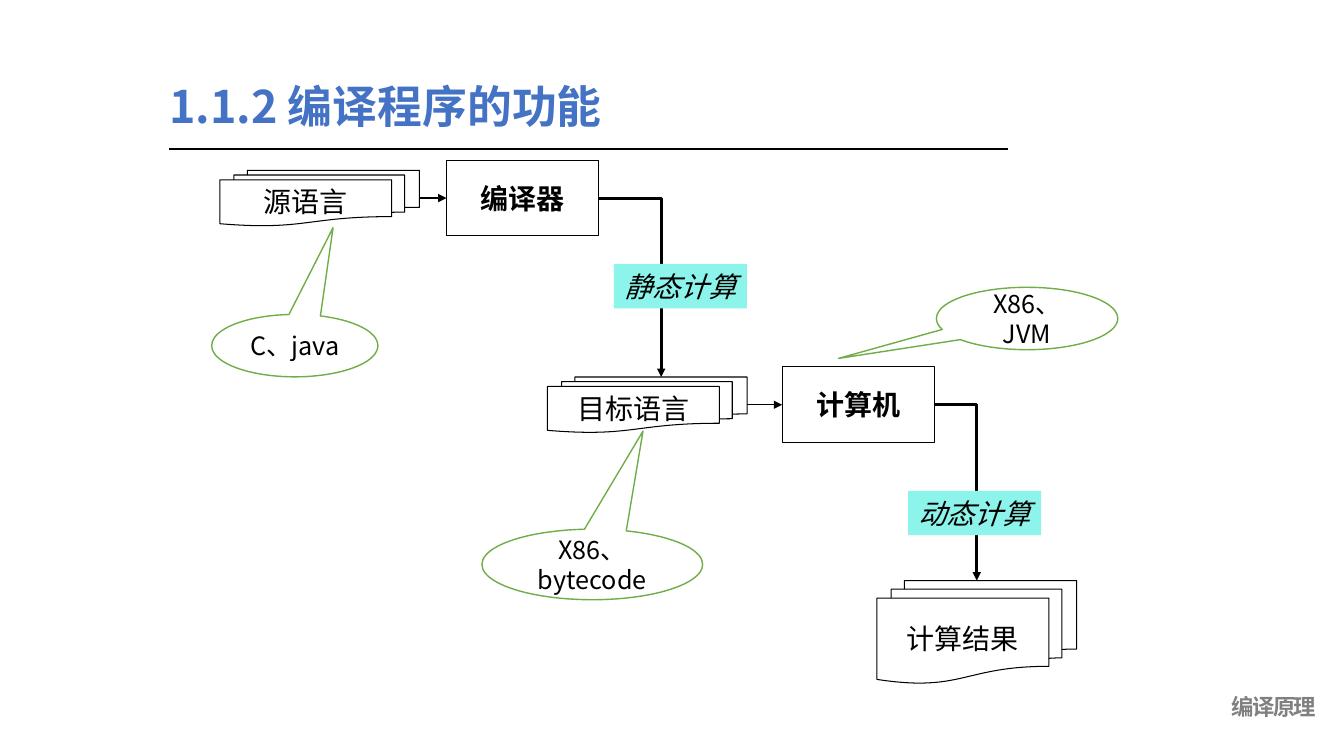
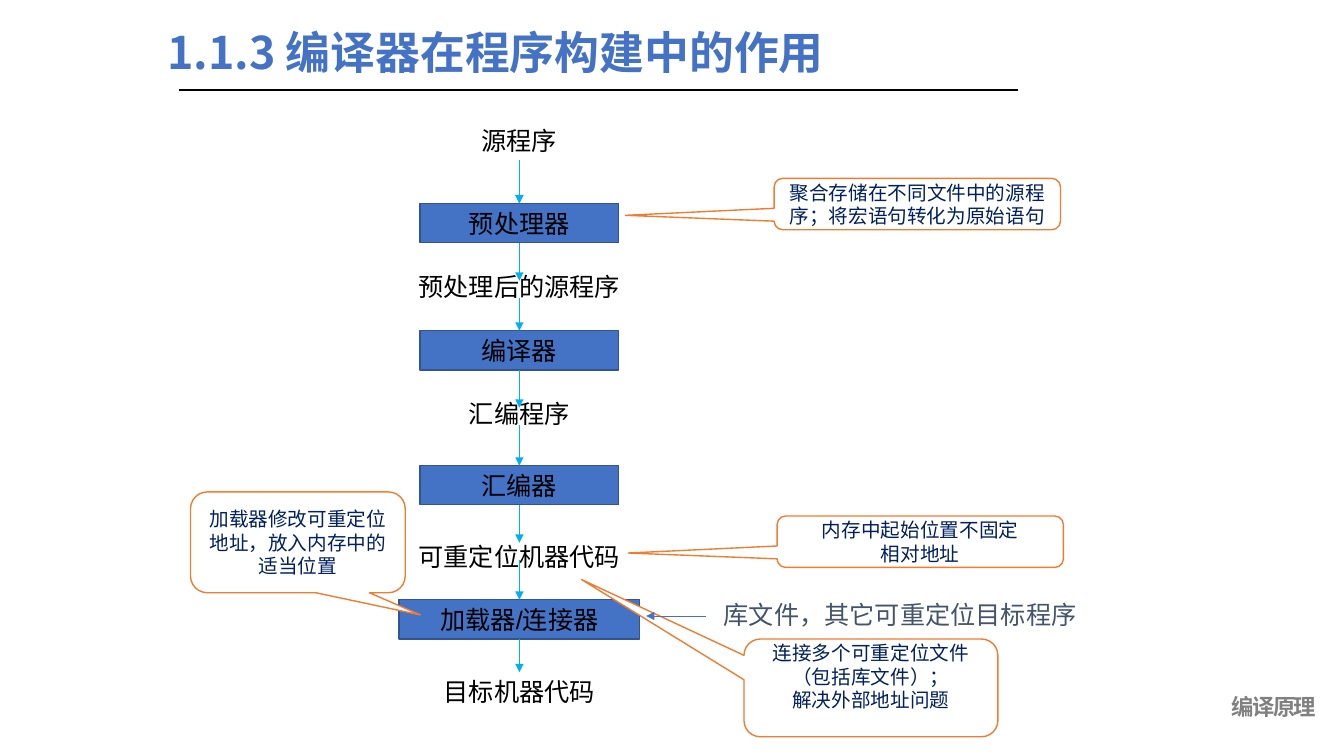
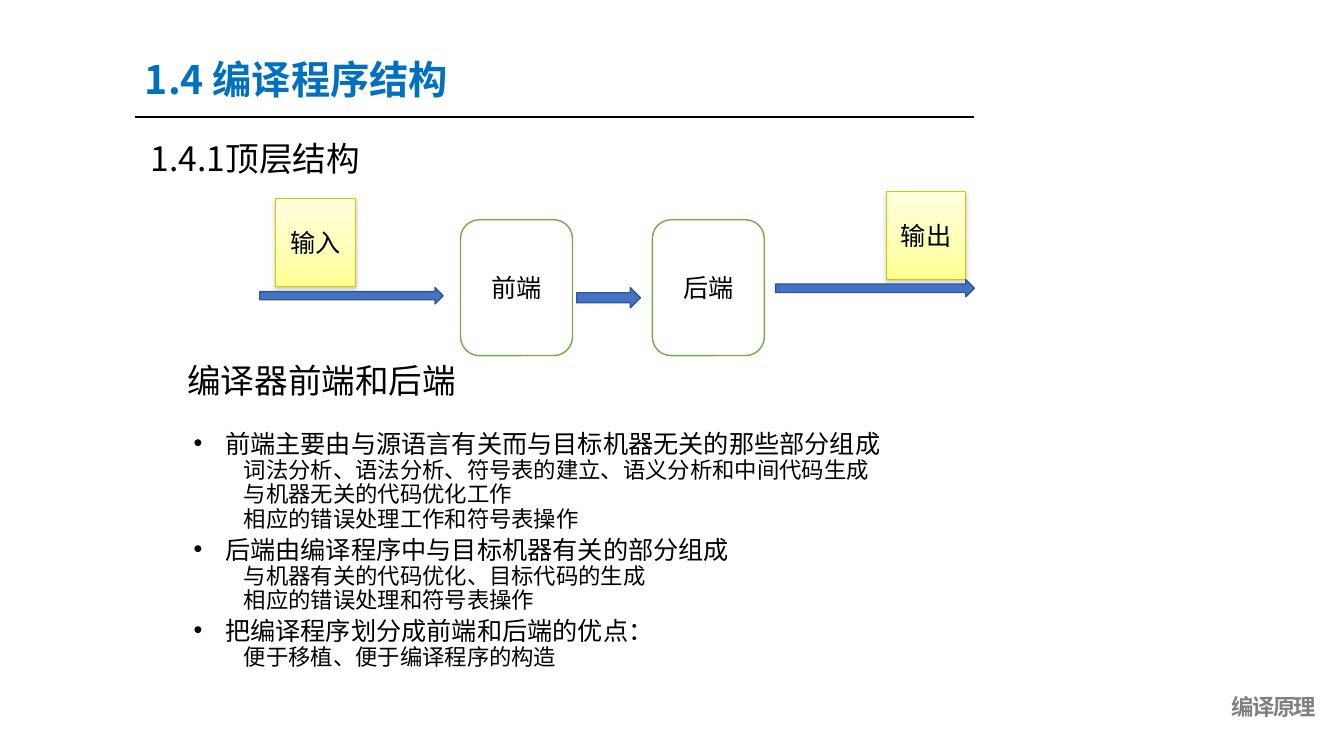
from typing import NamedTuple

from lxml import etree
from pptx import Presentation
from pptx import util as u
from pptx.dml import color
from pptx.enum import shapes, text
from pptx.oxml import ns

Pt = u.Pt
RGB = color.RGBColor
KIND = shapes.MSO_SHAPE
ALIGN = text.PP_ALIGN
ANCHOR = text.MSO_ANCHOR

BLACK = RGB(0x00, 0x00, 0x00)
WHITE = RGB(0xFF, 0xFF, 0xFF)
GREY = RGB(0x80, 0x80, 0x80)
SLATE = RGB(0x44, 0x54, 0x6A)
NAVY = RGB(0x00, 0x20, 0x60)
BLUE = RGB(0x44, 0x72, 0xC4)
BLUE_EDGE = RGB(0x32, 0x54, 0x91)
TITLE_BLUE = RGB(0x00, 0x70, 0xC0)
SKY = RGB(0x00, 0xB0, 0xF0)
AQUA = RGB(0x8C, 0xF4, 0xEA)
GREEN = RGB(0x70, 0xAD, 0x47)
ORANGE = RGB(0xED, 0x7D, 0x31)
OLIVE = RGB(0xCC, 0xCC, 0x00)
NOTE_STOPS = ((0, "FFFFE0"), (65, "FFFFB2"), (100, "FFFF90"))

SANS = "Noto Sans CJK SC"
INSETS = (7.2, 3.6, 7.2, 3.6)
RULE_LENGTH = 599
AXIS = 371
STAGE_HEIGHT = 28
ARROW_LENGTH = 27


class Font(NamedTuple):
    size: float
    face: str = SANS
    ink: RGB = BLACK
    bold: bool = False
    italic: bool = False
    spacing: int = 0


TITLE = Font(32, ink=BLUE, bold=True)
SECTION_TITLE = Font(28, ink=TITLE_BLUE, bold=True)
FOOTER = Font(16, ink=GREY, bold=True, spacing=-100)
HEADING = Font(24)
PLAIN = Font(18)
DETAIL = Font(16)
ARIAL = Font(18, "Arial")
DOCUMENT = Font(20, "DejaVu Sans")
MACHINE = Font(20, "Comic Neue", bold=True)
PHASE = Font(20, "DejaVu Sans", italic=True)
REMARK = Font(14, "Arial", NAVY)


def child(parent, tag, **attributes):
    return etree.SubElement(parent, ns.qn(tag), **attributes)


def add_span(para, words, font):
    span = para.add_run()
    span.text = words
    style = span.font
    style.size = Pt(font.size)
    style.name = font.face
    style.bold = font.bold
    style.italic = font.italic
    style.color.rgb = font.ink
    properties = span._r.get_or_add_rPr()
    child(properties, "a:ea", typeface=SANS)
    if font.spacing:
        properties.set("spc", str(font.spacing))


def prepare_frame(frame, anchor, insets=INSETS, wrap=True):
    frame.word_wrap = wrap
    frame.vertical_anchor = anchor
    frame.margin_left, frame.margin_top, frame.margin_right, frame.margin_bottom = map(Pt, insets)


def write_lines(frame, lines, font, align):
    for index, words in enumerate(lines):
        para = frame.add_paragraph() if index else frame.paragraphs[0]
        para.alignment = align
        add_span(para, words, font)


def add_label(page, bounds, words, font, align=ALIGN.LEFT, insets=INSETS):
    box = page.shapes.add_textbox(*map(Pt, bounds))
    prepare_frame(box.text_frame, ANCHOR.TOP, insets)
    write_lines(box.text_frame, [words], font, align)


def add_box(page, kind, bounds, lines=(), font=PLAIN, fill=WHITE, edge=None,
            weight=1, adjust=(), insets=INSETS, wrap=True):
    box = page.shapes.add_shape(kind, *map(Pt, bounds))
    box.shadow.inherit = False
    box.fill.solid()
    box.fill.fore_color.rgb = fill
    if edge is None:
        box.line.fill.background()
    else:
        box.line.color.rgb = edge
        box.line.width = Pt(weight)
    for index, value in enumerate(adjust):
        box.adjustments[index] = value
    prepare_frame(box.text_frame, ANCHOR.MIDDLE, insets, wrap)
    write_lines(box.text_frame, lines, font, ALIGN.CENTER)
    return box


def add_line(page, start, end, ink=BLACK, weight=1.5, arrow=False, elbow=False,
             leaves=None, enters=None):
    kind = shapes.MSO_CONNECTOR.ELBOW if elbow else shapes.MSO_CONNECTOR.STRAIGHT
    line = page.shapes.add_connector(kind, *map(Pt, start + end))
    line.line.color.rgb = ink
    line.line.width = Pt(weight)
    properties = line._element.spPr
    if elbow:
        properties.find(ns.qn("a:prstGeom")).set("prst", "bentConnector2")
    if arrow:
        child(properties.find(ns.qn("a:ln")), "a:tailEnd", type="triangle")
    child(properties, "a:effectLst")
    if leaves:
        line.begin_connect(*leaves)
    if enters:
        line.end_connect(*enters)


def add_page(deck, title, bounds, rule_start, font=TITLE):
    page = deck.slides.add_slide(deck.slide_layouts[6])
    add_label(page, (792, 492.5, 148.3, 22.3), "编译原理", FOOTER, ALIGN.RIGHT, (0, 2.9, 0, 0))
    add_label(page, bounds, title, font)
    left, top = rule_start
    add_line(page, rule_start, (left + RULE_LENGTH, top))
    return page


def add_documents(page, left, top, height, words):
    add_box(page, KIND.FLOWCHART_MULTIDOCUMENT, (left, top, 142.6, height), [words],
            DOCUMENT, edge=BLACK, weight=0.75)


def add_machine(page, left, top, words):
    return add_box(page, KIND.FLOWCHART_PROCESS, (left, top, 108.7, 54), [words],
                   MACHINE, edge=BLACK, weight=0.75)


def add_note(page, left, top, words):
    note = add_box(page, KIND.RECTANGLE, (left, top, 57, 62.6), [words], ARIAL,
                   edge=OLIVE, weight=0.75)
    note.fill.gradient()
    note.fill.gradient_angle = 270
    properties = note._element.spPr
    stops = properties.find(".//" + ns.qn("a:gsLst"))
    for stop in list(stops):
        stops.remove(stop)
    for place, value in NOTE_STOPS:
        child(child(stops, "a:gs", pos=str(place * 1000)), "a:srgbClr", val=value)
    shadow = child(properties.find(ns.qn("a:effectLst")), "a:outerShdw",
                   blurRad=str(Pt(3.1)), dist=str(Pt(1.6)), dir="5400000", rotWithShape="0")
    child(child(shadow, "a:srgbClr", val="808080"), "a:alpha", val="38000")


def add_outline(page, bounds, topics):
    box = page.shapes.add_textbox(*map(Pt, bounds))
    frame = box.text_frame
    prepare_frame(frame, ANCHOR.MIDDLE, (20.2, 0, 7.2, 3.6))
    rows = [(level, words) for topic, details in topics
            for level, words in [(0, topic)] + [(1, detail) for detail in details]]
    for index, (level, words) in enumerate(rows):
        para = frame.add_paragraph() if index else frame.paragraphs[0]
        para.level = level
        para.line_spacing = 0.7
        para.space_before = Pt(4 if level else 8)
        properties = para._p.get_or_add_pPr()
        properties.set("marL", str(Pt(36 if level else 22.5)))
        properties.set("indent", str(Pt(0 if level else -22.5)))
        if level:
            child(properties, "a:buNone")
        else:
            child(properties, "a:buFont", typeface="Arial")
            child(properties, "a:buChar", char="•")
        add_span(para, words, DETAIL if level else PLAIN)


def build_function_page(deck):
    page = add_page(deck, "1.1.2 编译程序的功能", (113.8, 52.6, 339.1, 46), (121, 106.6))
    add_documents(page, 157, 121.7, 39.6, "源语言")
    compiler = add_machine(page, 319, 114.5, "编译器")
    add_documents(page, 391, 269.3, 39.6, "目标语言")
    computer = add_machine(page, 558.7, 262.1, "计算机")
    add_documents(page, 626.4, 414.7, 73.4, "计算结果")
    for start, end, machine in (((299.6, 141.5), (319, 141.5), compiler),
                                ((533.6, 289.1), (558.7, 289.1), computer)):
        add_line(page, start, end, weight=1, arrow=True, enters=(machine, 1))
    for start, end in (((427.7, 141.5), (472.3, 269.3)), ((667.4, 289.1), (697.7, 414.7))):
        add_line(page, start, end, weight=2, arrow=True, elbow=True)
    for left, top, words in ((438.5, 188.6, "静态计算"), (648.7, 350.6, "动态计算")):
        add_box(page, KIND.RECTANGLE, (left, top, 95, 31.7), [words], PHASE, AQUA, wrap=False)
    for bounds, adjust, words in (
            ((151.2, 224.6, 118.8, 44.6), (0.23, -1.89), "C、java"),
            ((344.2, 378, 157.7, 50.4), (0.23, -1.89), "X86、bytecode"),
            ((668.9, 205.2, 129.6, 44.6), (-1.04, 0.64), "X86、JVM")):
        add_box(page, KIND.OVAL_CALLOUT, bounds, [words], edge=GREEN, adjust=adjust)


def build_role_page(deck):
    page = add_page(deck, "1.1.3 编译器在程序构建中的作用", (112.3, 14.4, 499.7, 46), (128.2, 64.1))

    def add_stage(words, top, width=142, fill=WHITE, edge=None, font=ARIAL):
        return add_box(page, KIND.RECTANGLE, (AXIS - width / 2, top, width, STAGE_HEIGHT),
                       [words], font, fill, edge)

    def add_tool(words, top, width=142):
        return add_stage(words, top, width, BLUE, BLUE_EDGE)

    source = add_stage("源程序", 86.4, font=PLAIN)
    preprocessor = add_tool("预处理器", 145.4)
    add_stage("预处理后的源程序", 190.8, 181)
    compiler = add_tool("编译器", 236.2)
    add_stage("汇编程序", 281.5)
    assembler = add_tool("汇编器", 332.6)
    add_stage("可重定位机器代码", 383.4, 174)
    loader = add_tool("加载器/连接器", 428.4, 172)
    target = add_stage("目标机器代码", 480.2)
    add_box(page, KIND.RECTANGLE, (509, 426.2, 268, 25.2), ["库文件，其它可重定位目标程序"],
            Font(18, "Arial", SLATE))

    for top, above, below in ((116.6, source, preprocessor), (173.5, preprocessor, None),
                              (213.1, None, compiler), (264.2, compiler, None),
                              (303.8, None, assembler), (360.7, assembler, None),
                              (400.3, None, loader), (451.4, loader, target)):
        add_line(page, (AXIS, top), (AXIS, top + ARROW_LENGTH), SKY, 0.5, arrow=True,
                 leaves=above and (above, 2), enters=below and (below, 0))

    for bounds, adjust, lines, bottom in (
            ((553, 127.4, 204.5, 36.7), (-1.02, 0.22),
             ["聚合存储在不同文件中的源程序；将宏语句转化为原始语句"], 3.6),
            ((555.1, 368.6, 204.5, 36.7), (-1.02, 0.22),
             ["内存中起始位置不固定", "相对地址"], 3.6),
            ((136.1, 351.4, 153.4, 72), (0.57, 0.72),
             ["加载器修改可重定位地址，放入内存中的适当位置"], 3.6),
            ((531.4, 456.5, 181.4, 69.8), (-1.14, -1.11),
             ["连接多个可重定位文件（包括库文件）；", "解决外部地址问题"], 20)):
        add_box(page, KIND.ROUNDED_RECTANGULAR_CALLOUT, bounds, lines, REMARK, edge=ORANGE,
                adjust=adjust, insets=(7.2, 3.6, 7.2, bottom))
    add_line(page, (504, 440), (461.5, 440), BLUE, 0.5, arrow=True)


def build_structure_page(deck):
    page = add_page(deck, "1.4 编译程序结构", (96.5, 36, 480.2, 41), (96.5, 83.5), SECTION_TITLE)
    for left, words in ((329, "前端"), (466, "后端")):
        add_box(page, KIND.ROUNDED_RECTANGLE, (left, 157, 80, 97), [words], edge=GREEN)
    add_note(page, 197, 142, "输入")
    add_note(page, 633, 137, "输出")
    for bounds in ((185.5, 205.5, 131, 11.5), (412, 205.5, 45.4, 14.4), (554, 199.8, 142, 12.2)):
        add_box(page, KIND.RIGHT_ARROW, bounds, fill=BLUE, edge=BLUE_EDGE)
    add_label(page, (100.8, 95, 480.2, 36), "1.4.1顶层结构", HEADING)
    add_label(page, (126.7, 253.4, 480.2, 36), "编译器前端和后端", HEADING)
    add_outline(page, (118, 284.4, 791.3, 224.6), (
        ("前端主要由与源语言有关而与目标机器无关的那些部分组成",
         ("词法分析、语法分析、符号表的建立、语义分析和中间代码生成",
          "与机器无关的代码优化工作", "相应的错误处理工作和符号表操作")),
        ("后端由编译程序中与目标机器有关的部分组成",
         ("与机器有关的代码优化、目标代码的生成", "相应的错误处理和符号表操作")),
        ("把编译程序划分成前端和后端的优点：", ("便于移植、便于编译程序的构造",))))


def main():
    deck = Presentation()
    deck.slide_width, deck.slide_height = Pt(960), Pt(540)
    build_function_page(deck)
    build_role_page(deck)
    build_structure_page(deck)
    deck.save("out.pptx")


if __name__ == "__main__":
    main()
